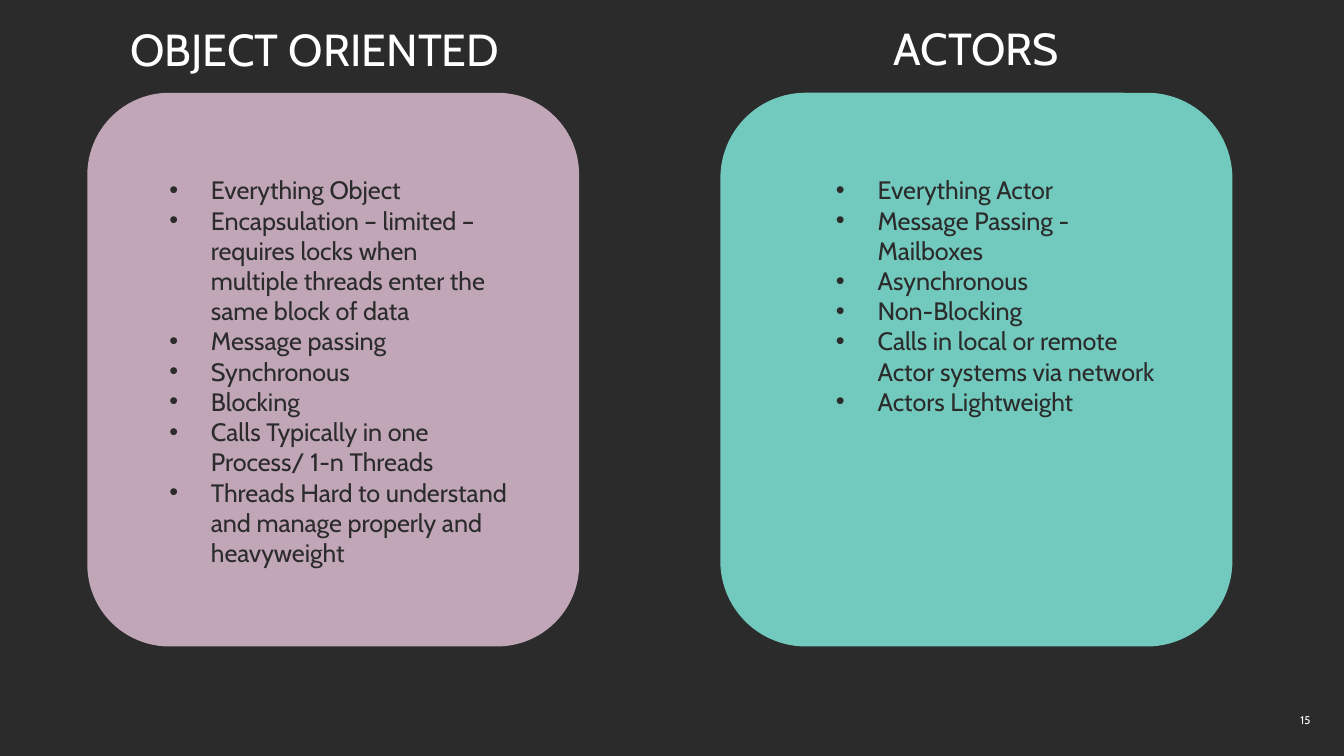
"""Build a slide comparing object orientation with actors."""
from dataclasses import dataclass

from lxml import etree
from pptx import Presentation
from pptx import util as u
from pptx.dml.color import RGBColor
from pptx.enum import shapes, text
from pptx.oxml.ns import qn


@dataclass(frozen=True)
class Theme:
    """Colours, font and type sizes of the slide."""
    font: str = "Cabin"
    dark: str = "2B2B2B"
    light: str = "FFFFFF"
    pink: str = "F8D4EB"
    mint: str = "8BFEEF"
    heading: float = 24
    body: float = 13.5
    number: float = 6


@dataclass(frozen=True)
class Area:
    """Position and size in inches."""
    left: float
    top: float
    width: float
    height: float

    def lengths(self) -> tuple:
        """Return the four values as lengths."""
        return tuple(u.Inches(v) for v in (self.left, self.top, self.width, self.height))


@dataclass(frozen=True)
class Column:
    """One side of the comparison."""
    heading: str
    heading_area: Area
    card_area: Area
    fill: str
    opacity: int
    list_area: Area
    points: tuple


THEME = Theme()
COLUMNS = (
    Column("OBJECT ORIENTED", Area(0.97, 0.21, 3.66, 0.42),
           Area(0.65, 0.69, 3.66, 4.12), THEME.pink, 73,
           Area(1.16, 1.25, 2.72, 3.28),
           ("Everything Object",
            "Encapsulation – limited – requires locks when multiple threads "
            "enter the same block of data",
            "Message passing", "Synchronous", "Blocking",
            "Calls Typically in one Process/ 1-n Threads",
            "Threads Hard to understand and manage properly and heavyweight")),
    Column("ACTORS", Area(6.65, 0.2, 2.53, 0.42),
           Area(5.36, 0.69, 3.81, 4.12), THEME.mint, 75,
           Area(6.12, 1.25, 2.72, 2.37),
           ("Everything Actor", "Message Passing - Mailboxes", "Asynchronous",
            "Non-Blocking", "Calls in local or remote Actor systems via network",
            "Actors Lightweight")),
)


def place(box, area: Area) -> None:
    """Move and size a box."""
    box.left, box.top, box.width, box.height = area.lengths()


def prepare_frame(box, anchor, side: float = 0, edge: float = 0):
    """Set wrapping, anchor and insets, and return the text frame."""
    frame = box.text_frame
    frame.word_wrap = True
    frame.auto_size = text.MSO_AUTO_SIZE.NONE
    frame.vertical_anchor = anchor
    frame.margin_left = frame.margin_right = u.Inches(side)
    frame.margin_top = frame.margin_bottom = u.Inches(edge)
    return frame


def add_span(para, words: str, size: float, color: str) -> None:
    """Add one formatted run to a paragraph."""
    span = para.add_run()
    span.text = words
    span.font.name = THEME.font
    span.font.size = u.Pt(size)
    span.font.color.rgb = RGBColor.from_string(color)


def write_heading(box, column: Column) -> None:
    """Place and write a column heading."""
    place(box, column.heading_area)
    para = prepare_frame(box, text.MSO_ANCHOR.TOP).paragraphs[0]
    para.alignment = text.PP_ALIGN.LEFT
    para.line_spacing = 0.9
    add_span(para, column.heading, THEME.heading, THEME.light)


def add_card(page, column: Column) -> None:
    """Draw the translucent rounded card of a column."""
    card = page.shapes.add_shape(
        shapes.MSO_SHAPE.ROUNDED_RECTANGLE, *column.card_area.lengths())
    card.shadow.inherit = False
    card.line.fill.background()
    card.fill.solid()
    card.fill.fore_color.rgb = RGBColor.from_string(column.fill)
    color = card.element.spPr.find(".//" + qn("a:srgbClr"))
    etree.SubElement(color, qn("a:alpha"), val=str(column.opacity * 1000))


def write_list(box, column: Column) -> None:
    """Bring the list in front of its card and write its bullets."""
    box.element.getparent().append(box.element)
    place(box, column.list_area)
    frame = prepare_frame(box, text.MSO_ANCHOR.TOP, 0.1, 0.05)
    for index, point in enumerate(column.points):
        para = frame.add_paragraph() if index else frame.paragraphs[0]
        para.space_before = u.Pt(0)
        properties = para._p.get_or_add_pPr()
        properties.set("marL", str(u.Inches(0.31)))
        properties.set("indent", str(-u.Inches(0.31)))
        etree.SubElement(properties, qn("a:buFont"), typeface="Arial")
        etree.SubElement(properties, qn("a:buChar"), char="•")
        add_span(para, point, THEME.body, THEME.dark)


def add_page_number(page, number: str) -> None:
    """Write the page number at the lower right."""
    box = page.shapes.add_textbox(*Area(7.5, 5.28, 2.25, 0.15).lengths())
    para = prepare_frame(box, text.MSO_ANCHOR.MIDDLE).paragraphs[0]
    para.alignment = text.PP_ALIGN.RIGHT
    add_span(para, number, THEME.number, THEME.light)


def main() -> None:
    """Build and save the deck."""
    deck = Presentation()
    deck.slide_width = u.Inches(10)
    deck.slide_height = deck.slide_width * 9 // 16
    page = deck.slides.add_slide(deck.slide_layouts.get_by_name("Two Content"))
    page.background.fill.solid()
    page.background.fill.fore_color.rgb = RGBColor.from_string(THEME.dark)

    title, *lists = page.placeholders
    second_heading = page.shapes.add_textbox(*COLUMNS[1].heading_area.lengths())
    for column, heading, bullets in zip(COLUMNS, (title, second_heading), lists):
        write_heading(heading, column)
        add_card(page, column)
        write_list(bullets, column)
    add_page_number(page, "15")
    deck.save("out.pptx")


if __name__ == "__main__":
    main()
